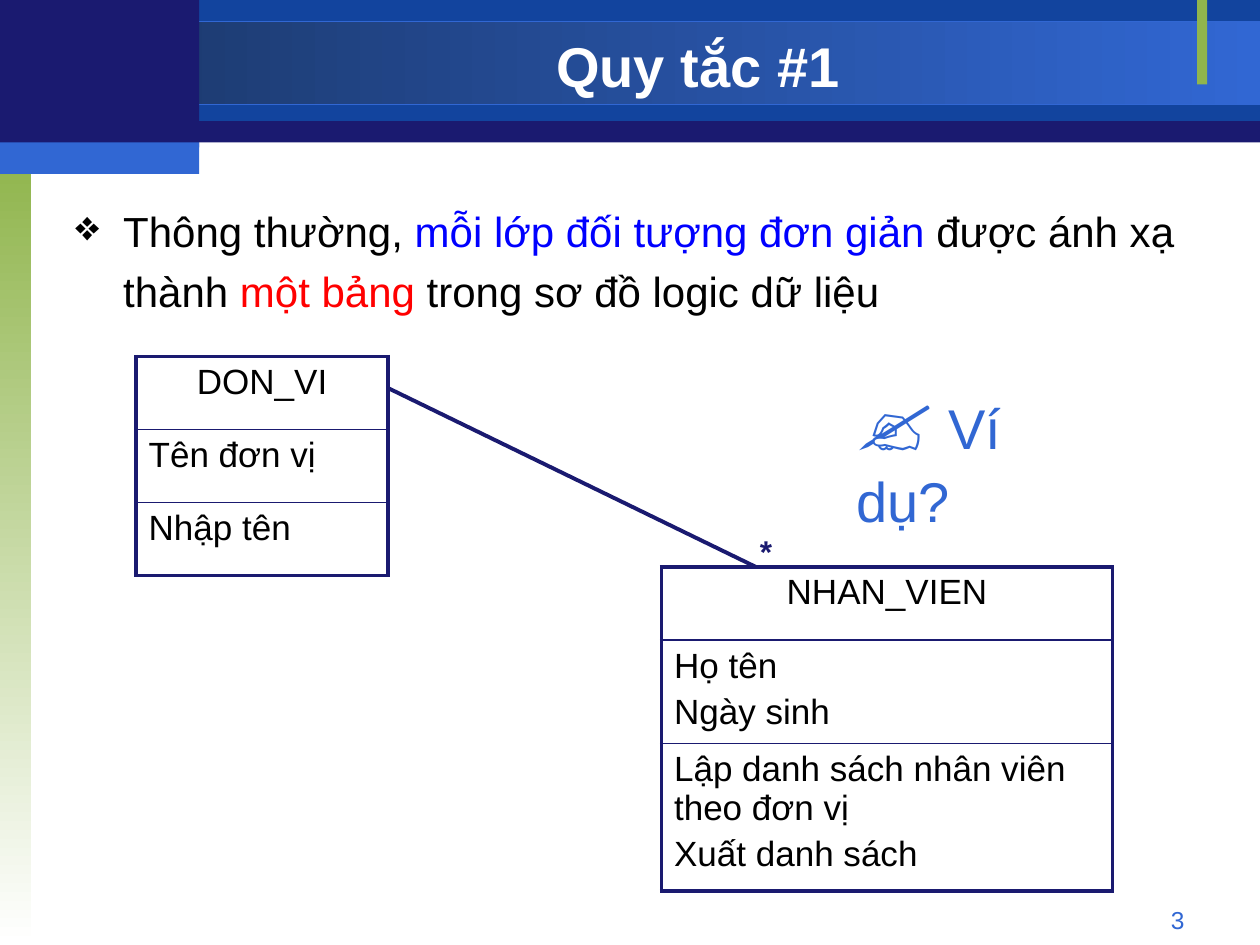
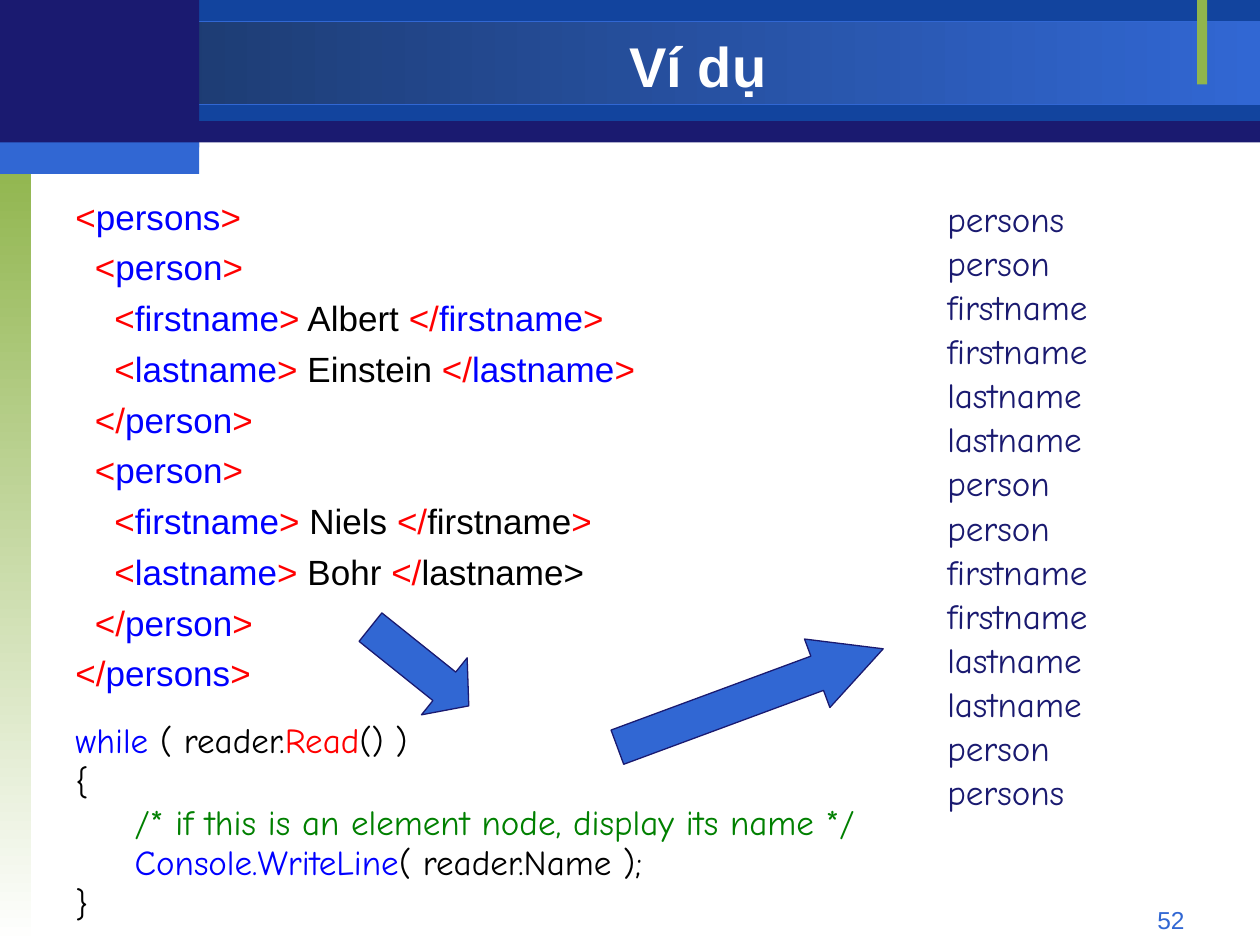
"""Builds two lecture slides on mapping classes to tables and reading XML."""
from dataclasses import dataclass

import lxml.etree
import pptx
import pptx.dml.color
import pptx.enum.shapes
import pptx.enum.text
import pptx.oxml.ns
import pptx.util

Inches = pptx.util.Inches
Pt = pptx.util.Pt
qn = pptx.oxml.ns.qn
Align = pptx.enum.text.PP_ALIGN
Anchor = pptx.enum.text.MSO_ANCHOR
Preset = pptx.enum.shapes.MSO_SHAPE


@dataclass(frozen=True)
class Theme:
    navy: str = "1A1A70"
    royal: str = "12449E"
    blue: str = "3167D3"
    shade: str = "1A3563"
    green: str = "90B54D"
    white: str = "FFFFFF"
    black: str = "000000"
    name: str = "0000FF"
    mark: str = "FF0000"
    comment: str = "008000"
    sans: str = "Arial"
    hand: str = "Comic Neue"
    title: int = 32
    icon: int = 48
    lead: int = 24
    body: int = 20
    star: int = 18
    number: int = 14


THEME = Theme()


@dataclass(frozen=True)
class Frame:
    left: float
    top: float
    width: float
    height: float

    def lengths(self) -> tuple:
        return tuple(Inches(v) for v in (self.left, self.top, self.width, self.height))


@dataclass(frozen=True)
class Span:
    text: str
    color: str = THEME.black
    size: int = THEME.body
    bold: bool = False
    font: str = THEME.sans


@dataclass(frozen=True)
class Line:
    spans: tuple
    indent: float = 0
    align: Align = Align.LEFT
    spacing: float = 1.0
    before: float = 0
    bullet: str = ""


@dataclass(frozen=True)
class Band:
    frame: Frame
    color: str
    end: str = ""
    angle: int = 0
    outline: str = ""


@dataclass(frozen=True)
class ClassBox:
    frame: Frame
    heights: tuple
    name: str
    attributes: tuple
    methods: tuple


@dataclass(frozen=True)
class Arrow:
    frame: Frame
    rotation: float
    head: float


BANDS = (
    Band(Frame(0, 0.01, 10, 1.12), THEME.navy),
    Band(Frame(1.58, 0, 8.42, 0.96), THEME.royal),
    Band(Frame(0, 0.17, 10, 0.66), THEME.shade, THEME.blue, 0, THEME.blue),
    Band(Frame(0, 1.25, 0.25, 6.25), THEME.green, THEME.white, 270),
    Band(Frame(9.5, 0, 0.08, 0.67), THEME.green),
    Band(Frame(0, 0, 1.58, 1.17), THEME.navy),
    Band(Frame(0, 1.13, 1.58, 0.25), THEME.blue),
)
CLASS_BOXES = (
    ClassBox(Frame(1.08, 2.83, 2, 1.75), (0.58, 0.58, 0.58),
             "DON_VI", ("Tên đơn vị",), ("Nhập tên",)),
    ClassBox(Frame(5.25, 4.5, 3.58, 2.58), (0.58, 0.82, 1.17), "NHAN_VIEN",
             ("Họ tên", "Ngày sinh"),
             ("Lập danh sách nhân viên theo đơn vị", "Xuất danh sách")),
)
ARROWS = (
    Arrow(Frame(2.83, 5, 1, 0.58), 38.7, 0.429),
    Arrow(Frame(4.83, 5.25, 2.25, 0.58), 339.7, 0.964),
)
XML_STEP = 0.155
CODE_STEP = 0.47


def rgb(color: str) -> pptx.dml.color.RGBColor:
    return pptx.dml.color.RGBColor.from_string(color)


def write(text_frame, lines) -> None:
    for index, line in enumerate(lines):
        para = text_frame.paragraphs[0] if index == 0 else text_frame.add_paragraph()
        para.alignment = line.align
        para.line_spacing = line.spacing
        para.space_before = Pt(line.before)
        properties = para._p.get_or_add_pPr()
        properties.set("marL", str(Inches(line.indent)))
        if line.bullet:
            properties.set("indent", str(-Inches(line.indent)))
            lxml.etree.SubElement(properties, qn("a:buChar")).set("char", line.bullet)
        for span in line.spans:
            run = para.add_run()
            run.text = span.text
            run.font.name = span.font
            run.font.size = Pt(span.size)
            run.font.bold = span.bold
            run.font.color.rgb = rgb(span.color)


def add_text(page, frame: Frame, lines, anchor=Anchor.TOP, wrap: bool = True) -> None:
    box = page.shapes.add_textbox(*frame.lengths())
    box.text_frame.word_wrap = wrap
    box.text_frame.vertical_anchor = anchor
    write(box.text_frame, lines)


def add_band(page, band: Band) -> None:
    shape = page.shapes.add_shape(Preset.RECTANGLE, *band.frame.lengths())
    shape.shadow.inherit = False
    if band.end:
        shape.fill.gradient()
        shape.fill.gradient_angle = band.angle
        for stop, color, position in zip(
                shape.fill.gradient_stops, (band.color, band.end), (0, 1)):
            stop.color.rgb = rgb(color)
            stop.position = position
    else:
        shape.fill.solid()
        shape.fill.fore_color.rgb = rgb(band.color)
    if band.outline:
        shape.line.color.rgb = rgb(band.outline)
        shape.line.width = Pt(0.75)
    else:
        shape.line.fill.background()


def add_arrow(page, arrow: Arrow) -> None:
    shape = page.shapes.add_shape(Preset.RIGHT_ARROW, *arrow.frame.lengths())
    shape.shadow.inherit = False
    shape.rotation = arrow.rotation
    shape.adjustments[0] = 0.5
    shape.adjustments[1] = arrow.head
    shape.fill.solid()
    shape.fill.fore_color.rgb = rgb(THEME.blue)
    shape.line.color.rgb = rgb(THEME.navy)
    shape.line.width = Pt(0.75)


def set_borders(cell, top: float, bottom: float) -> None:
    properties = cell._tc.get_or_add_tcPr()
    for side, width in (("L", 2.25), ("R", 2.25), ("T", top), ("B", bottom)):
        border = lxml.etree.SubElement(properties, qn(f"a:ln{side}"))
        border.set("w", str(Pt(width)))
        fill = lxml.etree.SubElement(border, qn("a:solidFill"))
        lxml.etree.SubElement(fill, qn("a:srgbClr")).set("val", THEME.navy)


def add_class_box(page, box: ClassBox) -> None:
    table = page.shapes.add_table(3, 1, *box.frame.lengths()).table
    table.first_row = False
    table.horz_banding = False
    sections = ((box.name,), box.attributes, box.methods)
    for index, (section, height) in enumerate(zip(sections, box.heights)):
        table.rows[index].height = Inches(height)
        cell = table.cell(index, 0)
        set_borders(cell, 2.25 if index == 0 else 1, 2.25 if index == 2 else 1)
        cell.fill.background()
        align = Align.CENTER if index == 0 else Align.LEFT
        write(cell.text_frame,
              [Line((Span(text),), align=align, before=4) for text in section])


def add_link(page, start: tuple, end: tuple) -> None:
    link = page.shapes.add_connector(
        pptx.enum.shapes.MSO_CONNECTOR.STRAIGHT, *(Inches(v) for v in start + end))
    link.line.color.rgb = rgb(THEME.navy)
    link.line.width = Pt(2.25)
    lxml.etree.SubElement(link._element.spPr, qn("a:effectLst"))


def add_page(deck, title: str, number: int):
    page = deck.slides.add_slide(deck.slide_layouts[6])
    for band in BANDS:
        add_band(page, band)
    add_text(page, Frame(7.17, 7.13, 2.33, 0.27),
             [Line((Span(str(number), THEME.blue, THEME.number),), align=Align.RIGHT)])
    add_text(page, Frame(1.58, 0.23, 7.92, 0.58),
             [Line((Span(title, THEME.white, THEME.title, True),), align=Align.CENTER)],
             Anchor.MIDDLE)
    return page


def opening(name: str) -> tuple:
    return Span("<", THEME.mark), Span(name, THEME.name), Span(">", THEME.mark)


def closing(name: str, color: str = THEME.name, end: str = THEME.mark) -> tuple:
    return Span("</", THEME.mark), Span(name, color), Span(">", end)


def element(name: str, value: str, *colors: str) -> tuple:
    return opening(name) + (Span(f" {value} "),) + closing(name, *colors)


def code(text: str, color: str = THEME.black) -> Span:
    return Span(text, color, font=THEME.hand)


def build_rule_page(deck) -> None:
    page = add_page(deck, "Quy tắc #1", 3)
    rule = tuple(Span(text, color, THEME.lead) for text, color in (
        ("Thông thường, ", THEME.black),
        ("mỗi lớp đối tượng đơn giản", THEME.name),
        (" được ánh xạ thành ", THEME.black),
        ("một bảng", THEME.mark),
        (" trong sơ đồ logic dữ liệu", THEME.black)))
    add_text(page, Frame(0.5, 1.5, 9, 1.2),
             [Line(rule, 0.38, spacing=1.2, before=5, bullet="❖")])
    add_text(page, Frame(6.7, 2.85, 2.21, 0.9),
             [Line((Span("✍", THEME.blue, THEME.icon),
                    Span(" Ví dụ?", THEME.blue, THEME.title)))], wrap=False)
    for box in CLASS_BOXES:
        add_class_box(page, box)
    add_link(page, (3.08, 3.08), (6, 4.5))
    add_text(page, Frame(5.83, 4.17, 0.5, 0.4),
             [Line((Span("*", THEME.navy, THEME.star, True),), align=Align.CENTER)])


def build_example_page(deck) -> None:
    page = add_page(deck, "Ví dụ", 52)
    markup = (
        (0, opening("persons")),
        (1, opening("person")),
        (2, element("firstname", "Albert")),
        (2, element("lastname", "Einstein")),
        (1, closing("person")),
        (1, opening("person")),
        (2, element("firstname", "Niels", THEME.black)),
        (2, element("lastname", "Bohr", THEME.black, THEME.black)),
        (1, closing("person")),
        (0, closing("persons")))
    add_text(page, Frame(0.5, 1.5, 6.08, 5.5),
             [Line(spans, level * XML_STEP, before=5) for level, spans in markup])
    person = ["person"] + ["firstname"] * 2 + ["lastname"] * 2 + ["person"]
    add_text(page, Frame(7.42, 1.5, 2.17, 5.01),
             [Line((code(name, THEME.navy),), spacing=1.05)
              for name in ["persons", *person, *person, "persons"]])
    add_arrow(page, ARROWS[0])
    program = (
        (0, (code("while", THEME.name), code(" ( reader."),
             code("Read", THEME.mark), code("() )"))),
        (0, (code("{"),)),
        (1, (code("/* if this is an element node, display its name */", THEME.comment),)),
        (1, (code("Console.WriteLine", THEME.name), code("( reader.Name );"))),
        (0, (code("}"),)))
    add_text(page, Frame(0.5, 5.72, 6.92, 1.7),
             [Line(spans, level * CODE_STEP, spacing=0.8, before=4)
              for level, spans in program])
    add_arrow(page, ARROWS[1])


def main() -> None:
    deck = pptx.Presentation()
    deck.slide_width = Inches(10)
    deck.slide_height = Inches(7.5)
    build_rule_page(deck)
    build_example_page(deck)
    deck.save("out.pptx")


main()
